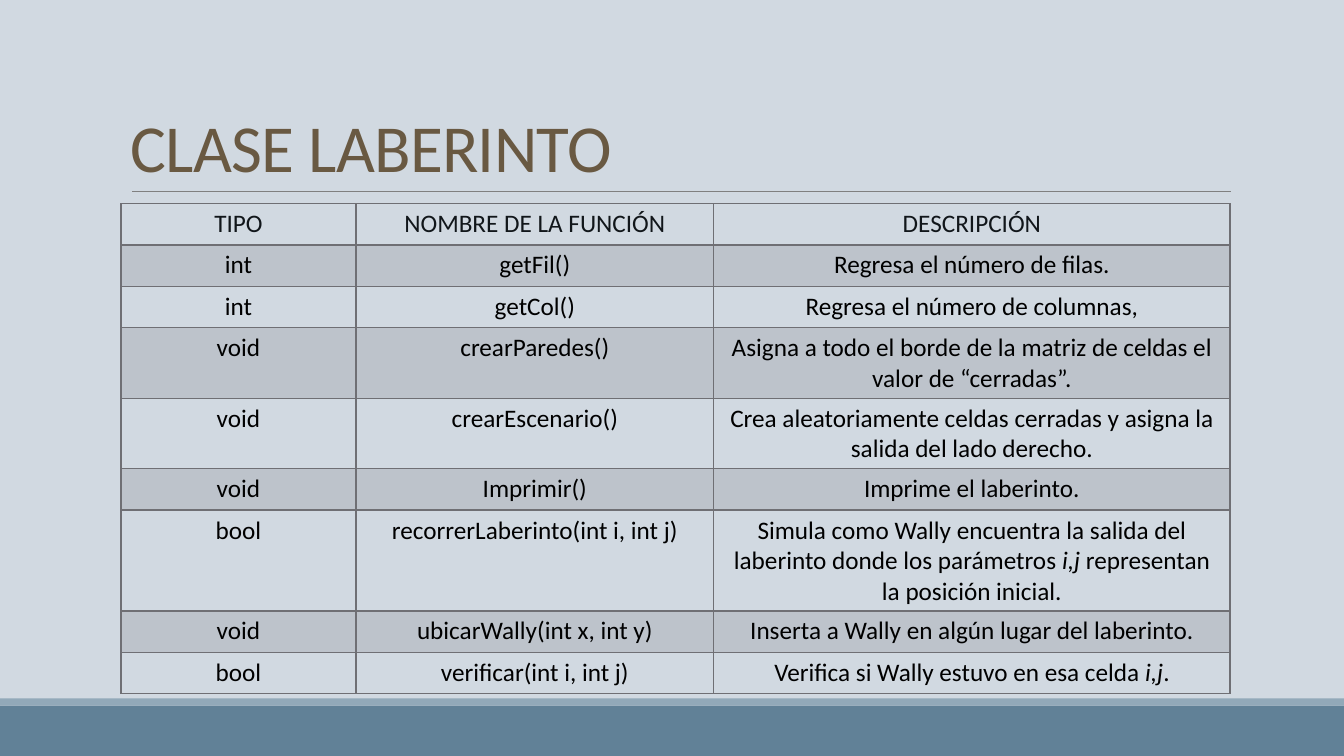
from lxml.etree import SubElement
from pptx import Presentation
from pptx.dml.color import RGBColor
from pptx.enum.shapes import MSO_CONNECTOR, MSO_SHAPE
from pptx.enum.text import MSO_ANCHOR, PP_ALIGN
from pptx.oxml import parse_xml
from pptx.oxml.ns import nsdecls, qn
from pptx.util import Inches, Pt

BACKGROUND = RGBColor(0xD1, 0xD9, 0xE1)
FOOTER = RGBColor(0x61, 0x81, 0x97)
FOOTER_EDGE = RGBColor(0x92, 0xA9, 0xB9)
RULE = RGBColor(0x80, 0x80, 0x80)
TITLE = RGBColor(0x69, 0x59, 0x42)
HEADING = RGBColor(0x11, 0x16, 0x1A)
BODY = RGBColor(0x00, 0x00, 0x00)
GRID = RGBColor(0x6F, 0x6F, 0x74)

COLUMN_WIDTHS = (2.33, 3.55, 5.12)
ROW_HEIGHT = 0.41
FUNCTIONS = [
    ("TIPO", "NOMBRE DE LA FUNCIÓN", "DESCRIPCIÓN"),
    ("int", "getFil()", "Regresa el número de filas."),
    ("int", "getCol()", "Regresa el número de columnas,"),
    ("void", "crearParedes()",
     "Asigna a todo el borde de la matriz de celdas el valor de “cerradas”."),
    ("void", "crearEscenario()",
     "Crea aleatoriamente celdas cerradas y asigna la salida del lado derecho."),
    ("void", "Imprimir()", "Imprime el laberinto."),
    ("bool", "recorrerLaberinto(int i, int j)",
     "Simula como Wally encuentra la salida del laberinto donde los parámetros "
     "*i,j* representan la posición inicial."),
    ("void", "ubicarWally(int x, int y)",
     "Inserta a Wally en algún lugar del laberinto."),
    ("bool", "verificar(int i, int j)",
     "Verifica si Wally estuvo en esa celda *i,j*."),
]


class SlideBuilder:
    """Draws the elements of one slide in a shared style."""

    font_name = "Calibri"

    def __init__(self, slide):
        self.slide = slide
        slide.background.fill.solid()
        slide.background.fill.fore_color.rgb = BACKGROUND

    def style(self, paragraph, size, color):
        paragraph.font.name = self.font_name
        paragraph.font.size = Pt(size)
        paragraph.font.color.rgb = color

    def band(self, top, height, color):
        band = self.slide.shapes.add_shape(
            MSO_SHAPE.RECTANGLE, 0, Inches(top), Inches(13.33), Inches(height))
        band.shadow.inherit = False
        band.fill.solid()
        band.fill.fore_color.rgb = color
        band.line.fill.background()

    def rule(self, left, right, y):
        rule = self.slide.shapes.add_connector(
            MSO_CONNECTOR.STRAIGHT, Inches(left), Inches(y), Inches(right), Inches(y))
        rule.line.color.rgb = RULE
        rule.line.width = Pt(0.5)
        SubElement(rule._element.spPr, qn("a:effectLst"))

    def title(self, text, left, top, width, height):
        frame = self.slide.shapes.add_textbox(
            Inches(left), Inches(top), Inches(width), Inches(height)).text_frame
        frame.word_wrap = True
        frame.vertical_anchor = MSO_ANCHOR.BOTTOM
        heading = frame.paragraphs[0]
        heading.line_spacing = 0.85
        self.style(heading, 48, TITLE)
        run = heading.add_run()
        run.text = text
        run._r.get_or_add_rPr().set("spc", "-50")

    def cell_borders(self, cell, top, bottom):
        widths = {"lnL": 1, "lnR": 1, "lnT": top, "lnB": bottom}
        for position, (side, width) in enumerate(widths.items()):
            border = parse_xml(
                f'<a:{side} {nsdecls("a")} w="{Pt(width)}"><a:solidFill>'
                f'<a:srgbClr val="{GRID}"/></a:solidFill></a:{side}>')
            cell._tc.get_or_add_tcPr().insert(position, border)

    def cell_fill(self, cell, shaded):
        if not shaded:
            cell.fill.background()
            return
        cell.fill.solid()
        cell.fill.fore_color.rgb = GRID
        tint = cell._tc.tcPr.find(qn("a:solidFill")).find(qn("a:srgbClr"))
        SubElement(tint, qn("a:alpha"), val="20000")

    def cell_text(self, cell, text, color):
        paragraph = cell.text_frame.paragraphs[0]
        paragraph.alignment = PP_ALIGN.CENTER
        self.style(paragraph, 18, color)
        for index, part in enumerate(text.split("*")):
            run = paragraph.add_run()
            run.text = part
            if index % 2:
                run.font.italic = True

    def table(self, rows, left, top):
        table = self.slide.shapes.add_table(
            len(rows), len(COLUMN_WIDTHS), Inches(left), Inches(top),
            Inches(sum(COLUMN_WIDTHS)), Inches(ROW_HEIGHT * len(rows))).table
        table.first_row = False
        table.horz_banding = False
        for column, width in zip(table.columns, COLUMN_WIDTHS):
            column.width = Inches(width)
        for row_index, texts in enumerate(rows):
            table.rows[row_index].height = Inches(ROW_HEIGHT)
            for column_index, text in enumerate(texts):
                cell = table.cell(row_index, column_index)
                self.cell_text(cell, text, BODY if row_index else HEADING)
                self.cell_fill(cell, row_index % 2 == 1)
                self.cell_borders(cell, top=2 if row_index == 1 else 1,
                                  bottom=1 if row_index else 2)


def main():
    presentation = Presentation()
    presentation.slide_width = Inches(13.33)
    presentation.slide_height = Inches(7.5)
    builder = SlideBuilder(presentation.slides.add_slide(presentation.slide_layouts[6]))
    builder.band(7, 0.5, FOOTER)
    builder.band(6.93, 0.07, FOOTER_EDGE)
    builder.rule(1.31, 12.21, 1.9)
    builder.title("CLASE LABERINTO", 1.2, 0.31, 11, 1.59)
    builder.table(FUNCTIONS, 1.2, 2.02)
    presentation.save("out.pptx")


if __name__ == "__main__":
    main()
